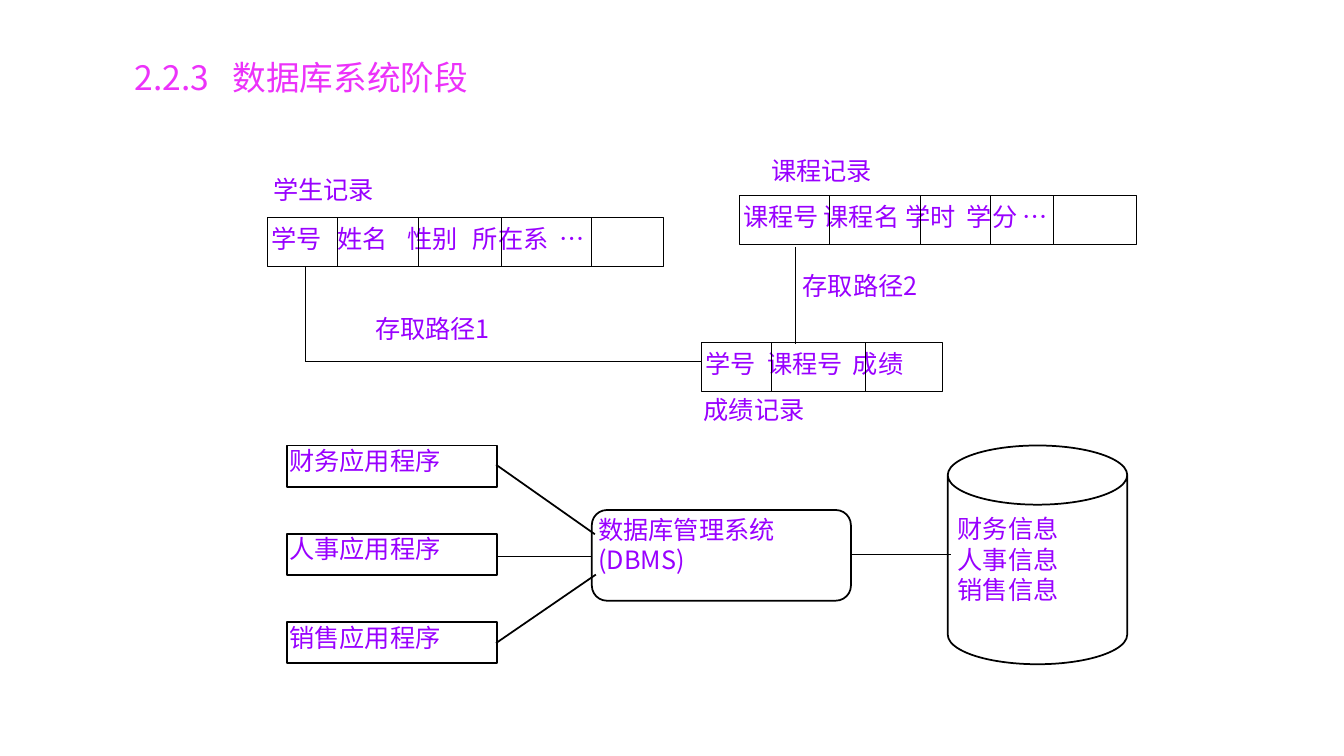
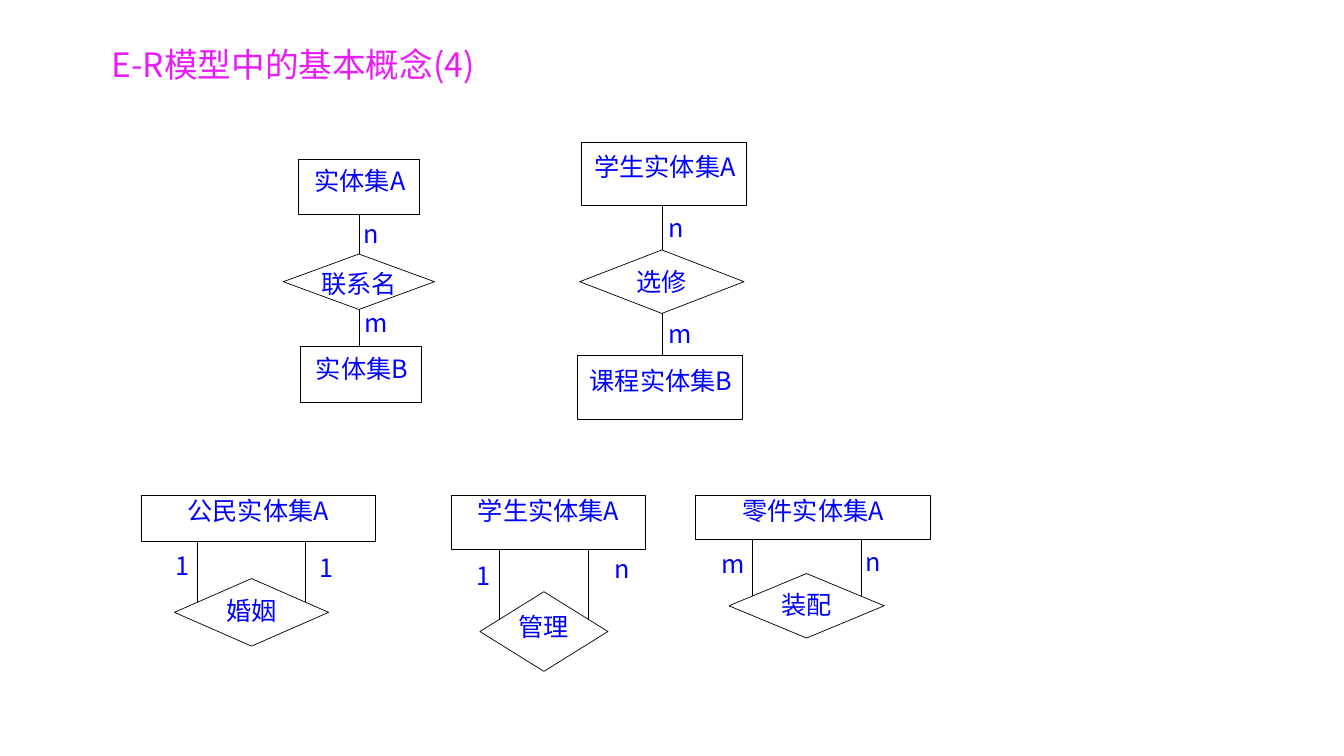
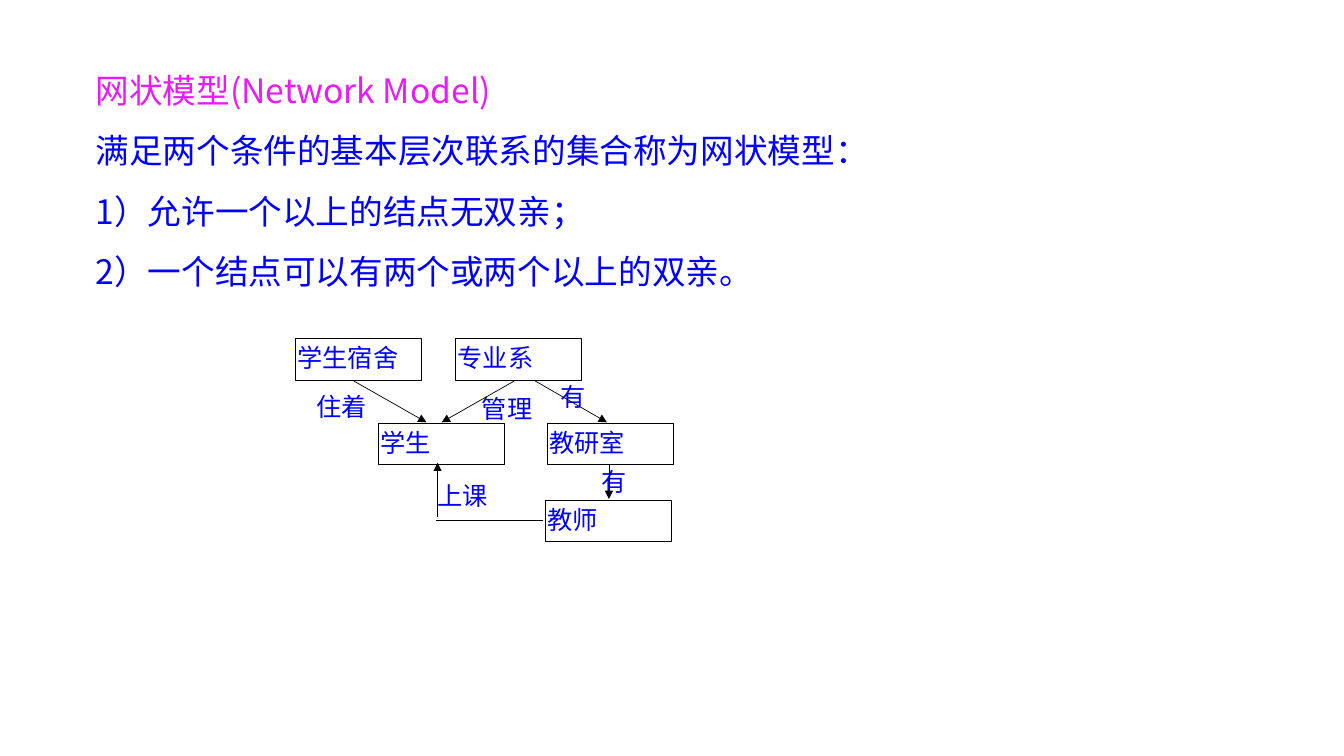
from lxml import etree
from pptx import Presentation
from pptx import util as u
from pptx.dml.color import RGBColor
from pptx.enum import shapes, text
from pptx.oxml import ns

# Shared look
FONT = "Noto Sans CJK SC"
BLACK = RGBColor(0, 0, 0)
WHITE = RGBColor(255, 255, 255)
PURPLE = RGBColor(0x99, 0x00, 0xFF)
BLUE = RGBColor(0, 0, 255)
ROSE = RGBColor(0xEC, 0x32, 0xFA)
PINK = RGBColor(0xE9, 0x1B, 0xF9)
THIN, BOLD = 0.5, 1.25
MID = text.PP_ALIGN.CENTER
KIND = shapes.MSO_SHAPE
RECT, RHOMB = KIND.RECTANGLE, KIND.FLOWCHART_DECISION
NONE, EDGE, PAD = (0, 0, 0, 0), (0.02, 0, 0, 0), (0.1, 0.05, 0.1, 0.05)

# Styles: insets, fill, line colour and width, paragraph format
STYLES = {
    "title": dict(ins=PAD, size=24),
    "name": dict(ins=EDGE),
    "app": dict(ins=EDGE, fill=WHITE, line=BLACK, wide=BOLD),
    "store": dict(ins=(0.1, 0.09, 0.1, 0.05), fill=WHITE, line=BLACK, wide=BOLD),
    "record": dict(ins=(0.04, 0, 0, 0), fill=WHITE, line=BLACK, para={"line_spacing": 1.2}),
    "mark": dict(ins=NONE, fill=WHITE, para={"alignment": MID}),
    "bond": dict(ins=NONE, fill=WHITE, line=BLACK, para={"alignment": MID}),
    "small": dict(ins=EDGE, fill=WHITE, line=BLACK,
                  para={"alignment": MID, "line_spacing": 1.2}),
    "large": dict(ins=EDGE, fill=WHITE, line=BLACK,
                  para={"alignment": MID, "line_spacing": 1.3}),
    "wide": dict(ins=NONE, fill=WHITE, line=BLACK,
                 para={"alignment": MID, "space_before": u.Pt(1.5)}),
    "verb": dict(ins=NONE, line=WHITE),
    "node": dict(ins=(0.02, 0.04, 0, 0), line=BLACK),
    "body": dict(ins=PAD, size=24,
                 para={"alignment": text.PP_ALIGN.JUSTIFY, "line_spacing": 1.5}),
}

# Slide 1: database system stage
STAGE = "2.2.3\t数据库系统阶段"
APPS = ["财务应用程序", "人事应用程序", "销售应用程序"]
DBMS = "数据库管理系统(DBMS)"
STORE = ["财务信息", "人事信息", "销售信息"]
APP_LINKS = [(4.93, 5.52, 5.87, 5.52), (4.92, 4.61, 5.9, 5.3),
             (4.92, 6.38, 5.91, 5.7), (8.44, 5.5, 9.43, 5.5)]
# left, top, width, fields, tab stops, dividers
RECORDS = [
    (2.65, 2.16, 3.93, ["学号", "姓名", "性别", "所在系", "…"],
     [0.66, 1.35, 2.0, 2.86], [3.35, 4.15, 4.97, 5.87]),
    (7.33, 1.94, 3.94, ["课程号", "课程名", "学时", "学分", "…"],
     [0.8, 1.61, 2.22, 2.77], [8.23, 9.13, 9.82, 10.45]),
    (6.96, 3.4, 2.39, ["学号", "课程号", "成绩"], [0.61, 1.46], [7.65, 8.58]),
]
NAMES = [("学生记录", 2.69, 1.73), ("课程记录", 7.63, 1.54), ("成绩记录", 6.96, 3.91),
         ("存取路径1", 3.7, 3.11), ("存取路径2", 7.94, 2.68)]
ROUTES = [(3.03, 2.64, 3.03, 3.59), (3.03, 3.59, 6.96, 3.59), (7.89, 2.45, 7.89, 3.41)]

# Slide 2: entity sets; each part is (words, box)
CONCEPT = "E-R模型中的基本概念(4)"
CHAINS = [
    ("small", ("实体集A", (2.96, 1.58, 1.2, 0.55)), ("联系名", (2.81, 2.52, 1.5, 0.55)),
     ("实体集B", (2.98, 3.44, 1.2, 0.55)),
     [("n", (3.46, 2.17, 0.44, 0.29)), ("m", (3.48, 3.05, 0.5, 0.32))]),
    ("large", ("学生实体集A", (5.77, 1.41, 1.63, 0.63)), ("选修", (5.75, 2.48, 1.63, 0.63)),
     ("课程实体集B", (5.73, 3.53, 1.63, 0.63)),
     [("n", (6.29, 2.11, 0.83, 0.36)), ("m", (6.33, 3.16, 0.83, 0.36))]),
]
LOOPS = [
    (("公民实体集A", (1.4, 4.91, 2.32, 0.46)), ("婚姻", (1.73, 5.74, 1.53, 0.67)),
     [("1", (1.51, 5.46, 0.59, 0.34)), ("1", (2.94, 5.48, 0.59, 0.41))]),
    (("学生实体集A", (4.48, 4.91, 1.92, 0.54)), ("管理", (4.76, 5.87, 1.27, 0.79)),
     [("1", (4.55, 5.56, 0.49, 0.39)), ("n", (5.93, 5.49, 0.49, 0.48))]),
    (("零件实体集A", (6.9, 4.91, 2.33, 0.44)), ("装配", (7.23, 5.69, 1.54, 0.64)),
     [("m", (6.98, 5.44, 0.59, 0.32)), ("n", (8.37, 5.42, 0.59, 0.39))]),
]

# Slide 3: network model
MODEL = ["网状模型(Network Model)", "满足两个条件的基本层次联系的集合称为网状模型：",
         "1）允许一个以上的结点无双亲；", "2）一个结点可以有两个或两个以上的双亲。"]
VERBS = [("上课", 4.34, 4.77), ("有", 5.97, 4.63), ("有", 5.56, 3.78),
         ("管理", 4.78, 3.9), ("住着", 3.14, 3.88)]
NODES = [("学生宿舍", 2.93, 3.36), ("专业系", 4.52, 3.36), ("学生", 3.75, 4.2),
         ("教研室", 5.43, 4.2), ("教师", 5.41, 4.96)]
ARROWS = [(3.51, 3.78, 4.23, 4.19), (5.1, 3.78, 4.38, 4.19), (5.31, 3.78, 6.02, 4.19),
          (6.04, 4.61, 6.04, 4.95), (4.34, 5.13, 4.34, 4.59)]
BASE = (5.39, 5.16, 4.32, 5.16)


# Helpers
def sub(node, tag, **attrs):
    return etree.SubElement(node, ns.qn(tag), **attrs)


def put(page, style, box, lines, ink, kind=None, head=None, stops=()):
    look = STYLES[style]
    area = [u.Inches(n) for n in box]
    if kind is None:
        item = page.shapes.add_textbox(*area)
    else:
        item = page.shapes.add_shape(kind, *area)
        item.shadow.inherit = False
        for part, hue in ((item.fill, look.get("fill")), (item.line.fill, look.get("line"))):
            if hue is None:
                part.background()
            else:
                part.solid()
                part.fore_color.rgb = hue
        if "line" in look:
            item.line.width = u.Pt(look.get("wide", THIN))
    frame = item.text_frame
    frame.word_wrap = True
    frame.vertical_anchor = text.MSO_ANCHOR.TOP
    for side, gap in zip(("left", "top", "right", "bottom"), look["ins"]):
        setattr(frame, "margin_" + side, u.Inches(gap))
    for i, words in enumerate(lines):
        para = frame.add_paragraph() if i else frame.paragraphs[0]
        form = {"alignment": text.PP_ALIGN.LEFT, **look.get("para", {})}
        for key, val in form.items():
            setattr(para, key, val)
        if stops:
            tabs = sub(para._p.get_or_add_pPr(), "a:tabLst")
            for stop in stops:
                sub(tabs, "a:tab", pos=str(u.Inches(stop)), algn="l")
        run = para.add_run()
        run.text = words
        run.font.color.rgb = head if head and i == 0 else ink
        for key, val in {"name": FONT, "size": u.Pt(look.get("size", 18))}.items():
            setattr(run.font, key, val)
        sub(run._r.get_or_add_rPr(), "a:ea", typeface=FONT)
    return item


def link(page, ends, wide=THIN, arrow=False):
    wire = page.shapes.add_connector(shapes.MSO_CONNECTOR.STRAIGHT,
                                     *[u.Inches(n) for n in ends])
    wire.line.color.rgb = BLACK
    wire.line.width = u.Pt(wide)
    if arrow:
        sub(wire.line._get_or_add_ln(), "a:tailEnd", type="triangle")
    sub(wire._element.spPr, "a:effectLst")


deck = Presentation()
deck.slide_width, deck.slide_height = u.Inches(13.33), u.Inches(7.5)
stage, concept, model = [deck.slides.add_slide(deck.slide_layouts[6]) for _ in range(3)]

# Slide 1: programs, system and store
for i, app in enumerate(APPS):
    put(stage, "app", (2.85, 4.42 + 0.875 * i, 2.08, 0.41), [app], PURPLE, RECT)
put(stage, "app", (5.87, 5.06, 2.57, 0.9), [DBMS], PURPLE, KIND.ROUNDED_RECTANGLE)
can = put(stage, "store", (9.4, 4.42, 1.78, 2.17), STORE, PURPLE, KIND.CAN)
can.adjustments[0] = 0.33
for ends in APP_LINKS:
    link(stage, ends, BOLD)

# Slide 1: records and access routes
for left, top, width, fields, stops, cuts in RECORDS:
    put(stage, "record", (left, top, width, 0.48), ["\t".join(fields)], PURPLE, RECT,
        stops=stops)
    for x in cuts:
        link(stage, (x, top, x, top + 0.48))
for name, left, top in NAMES:
    put(stage, "name", (left, top, 1.31, 0.48), [name], PURPLE)
for ends in ROUTES:
    link(stage, ends)
put(stage, "title", (1.24, 0.52, 3.57, 0.5), [STAGE], ROSE, stops=[0.97])

# Slide 2: chains of two entity sets
for style, first, bond, last, marks in CHAINS:
    for mark, box in marks:
        put(concept, "mark", box, [mark], BLUE, RECT)
    for name, box in (first, last):
        put(concept, style, box, [name], BLUE, RECT)
    put(concept, "bond", bond[1], [bond[0]], BLUE, RHOMB)
    x = bond[1][0] + bond[1][2] / 2
    for (_, upper), (_, lower) in ((first, bond), (bond, last)):
        link(concept, (x, upper[1] + upper[3], x, lower[1]))

# Slide 2: entity sets bound to themselves
for (name, box), (verb, gem), marks in LOOPS:
    for mark, spot in marks:
        put(concept, "mark", spot, [mark], BLUE, RECT)
    put(concept, "wide", box, [name], BLUE, RECT)
    put(concept, "bond", gem, [verb], BLUE, RHOMB)
    left, top, width, height = gem
    for share in (0.15, 0.85):
        x = left + share * width
        link(concept, (x, box[1] + box[3], x, top + 0.35 * height))
title = put(concept, "title", (0.97, 0.39, 3.87, 0.5), [CONCEPT], PINK)
title.text_frame.paragraphs[0].alignment = MID

# Slide 3: network of nodes
for verb, left, top in VERBS:
    put(model, "verb", (left, top, 0.61, 0.33), [verb], BLUE, RECT)
for node, left, top in NODES:
    put(model, "node", (left, top, 1.25, 0.41), [node], BLUE, RECT)
for ends in ARROWS:
    link(model, ends, arrow=True)
link(model, BASE)
put(model, "body", (0.85, 0.44, 11.52, 2.52), MODEL, BLUE, head=PINK)

deck.save("out.pptx")
